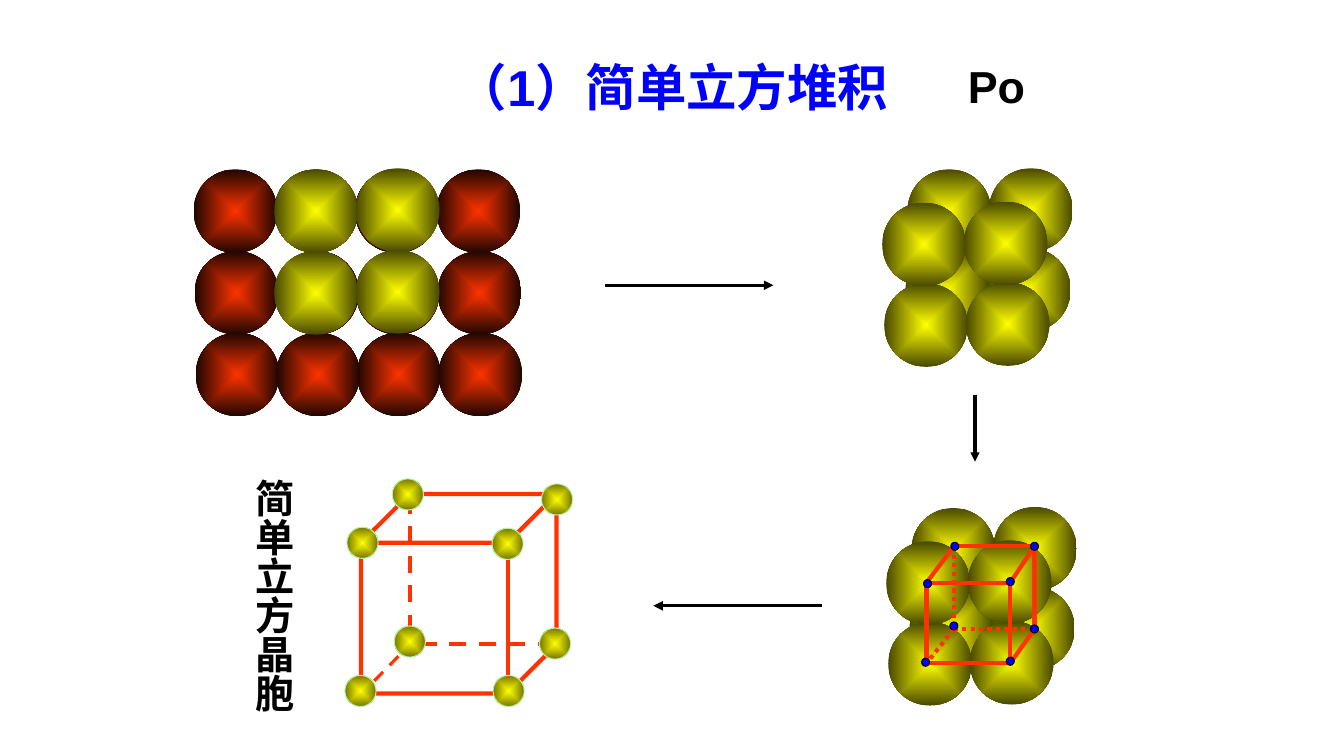
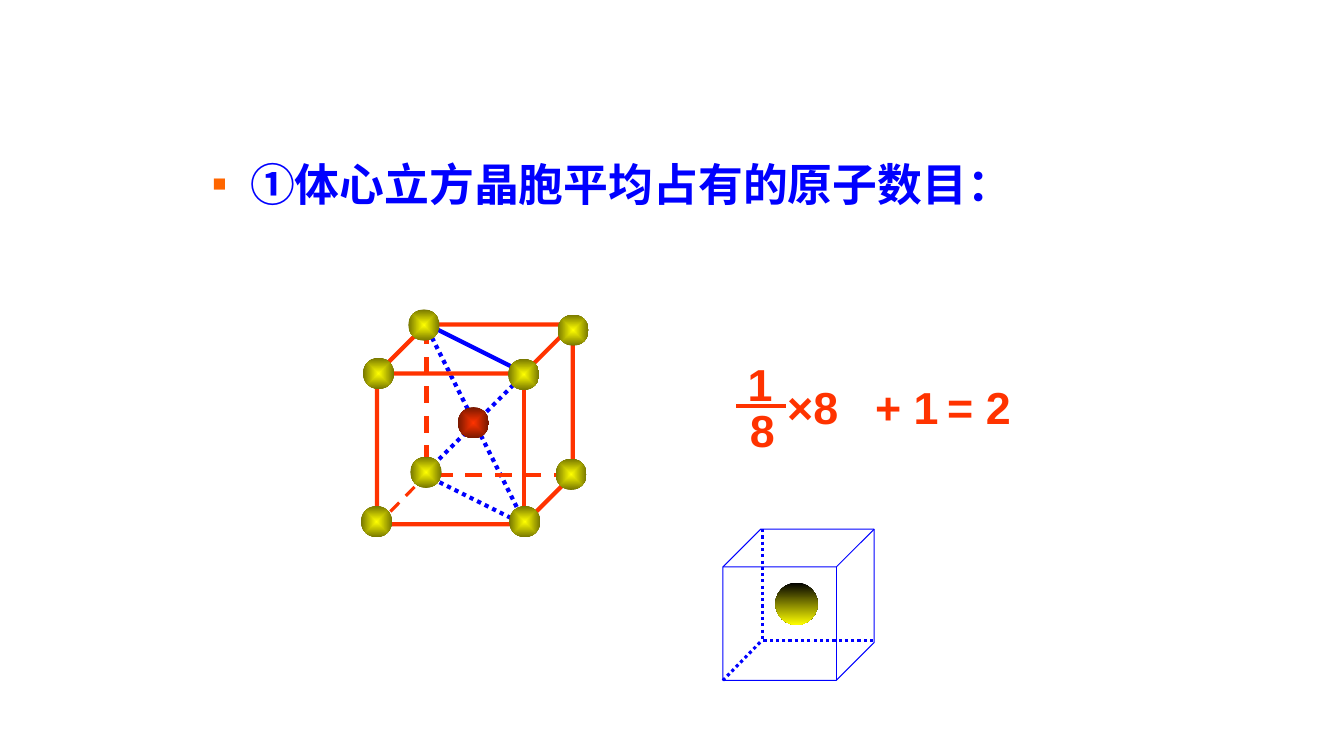
from itertools import product
from lxml import etree
from pptx import Presentation
from pptx.dml.color import RGBColor
from pptx.enum import dml, shapes, text
from pptx.oxml import ns
from pptx.util import Inches, Pt

# Shared look
RED, BLUE, BLACK, GOLD = "FF3300", "0000FF", "000000", "FFFF00"
ORANGE, MINT = "FF6600", "B4F5A9"
DARK_RED, DARK_GOLD = ("FF3300", "200600"), ("FFFF00", "494900")
CORE, ATOM = ("FF3300", "761800"), ("FFFF00", "767600")
DASH, DOT = dml.MSO_LINE.DASH, dml.MSO_LINE.ROUND_DOT
LEFT, MID = text.PP_ALIGN.LEFT, text.PP_ALIGN.CENTER
BALL, SMALL, STEP = 0.83, 0.31, 0.81

# Slide 1
TITLE = "（1）简单立方堆积"
LABEL = "简单立方晶胞"
ARROWS = [(6, 2.83, 7.67, 2.83), (9.67, 3.92, 9.67, 4.58),
          (8.15, 6.01, 6.48, 6.01)]
STACKS = [(8.75, 1.67), (8.79, 5.03)]
PAIRS = [(0.23, 0.8), (0.02, 1.14), (0.25, 0.01), (0, 0.34)]
# Left, top, right and bottom of the two faces of the inner cell
FRONT, BACK = (9.19, 5.78, 10.02, 6.58), (9.46, 5.42, 10.26, 6.24)
NODES = [(9.47, 5.42), (10.26, 5.42), (10.02, 5.77), (9.2, 5.79),
         (9.46, 6.21), (10.26, 6.24), (10.02, 6.56), (9.18, 6.57)]

# Slide 2
POINT = "①体心立方晶胞平均占有的原子数目："
SUM = [("8", 7.27, 3.95, 0.58, MID), ("1", 7.25, 3.49, 0.58, MID),
       ("×8", 7.71, 3.72, 1, LEFT), ("= 2", 9.25, 3.72, 0.92, MID),
       ("+ 1", 8.58, 3.72, 0.95, LEFT)]
DIAGS = [(4.21, 4.71, 5.21, 5.21, DOT), (4.22, 3.21, 5.22, 3.71, None),
         (4.21, 3.2, 5.21, 5.2, DOT), (5.21, 3.7, 4.21, 4.7, DOT)]

# Corner atoms, measured from the corner of the cell
ATOMS = [(0.31, -0.15), (1.3, 0.34), (-0.16, 1.8), (1.77, 1.33),
         (0.33, 1.31), (1.31, 1.8), (1.79, -0.1), (-0.14, 0.33)]


def rgb(code):
    return RGBColor.from_string(code)


def add(parent, tag, **attrs):
    return etree.SubElement(parent, ns.qn(tag), attrs)


def box(*lengths):
    return [Inches(n) for n in lengths]


def line(slide, x1, y1, x2, y2, hue, width, dash=None, arrow=False):
    link = slide.shapes.add_connector(
        shapes.MSO_CONNECTOR.STRAIGHT, *box(x1, y1, x2, y2))
    link.line.color.rgb = rgb(hue)
    link.line.width = Pt(width)
    if dash:
        link.line.dash_style = dash
    if arrow:
        add(link.line._get_or_add_ln(), "a:tailEnd", type="triangle")
    add(link._element.spPr, "a:effectLst")


def shape(slide, kind, x, y, w, h, hue=None, width=0.75):
    item = slide.shapes.add_shape(kind, *box(x, y, w, h))
    item.shadow.inherit = False
    item.fill.background()
    if hue:
        item.line.color.rgb = rgb(hue)
        item.line.width = Pt(width)
    else:
        item.line.fill.background()
    return item


def ball(slide, x, y, size, hues, edge=None, radial=True):
    item = shape(slide, shapes.MSO_SHAPE.OVAL, x, y, size, size, edge)
    item.fill.gradient()
    for stop, hue in zip(item.fill.gradient_stops, hues):
        stop.color.rgb = rgb(hue)
    item.fill.gradient_angle = 270
    if radial:
        grad = item._element.spPr.find(ns.qn("a:gradFill"))
        grad.remove(grad.find(ns.qn("a:lin")))
        way = add(grad, "a:path", path="shape")
        add(way, "a:fillToRect", **dict.fromkeys("ltrb", "50000"))


def write(frame, words, size, hue, font="Arial", align=LEFT):
    frame.word_wrap = True
    frame.auto_size = text.MSO_AUTO_SIZE.NONE
    para = frame.paragraphs[0]
    para.alignment = align
    para.space_before = Pt(0)
    run = para.add_run()
    run.text = words
    run.font.name, run.font.size, run.font.bold = font, Pt(size), True
    run.font.color.rgb = rgb(hue)
    return para


def label(slide, words, x, y, w, h, size, hue, align=LEFT):
    frame = slide.shapes.add_textbox(*box(x, y, w, h)).text_frame
    write(frame, words, size, hue, align=align)
    return frame


def place(holder, *lengths):
    holder.left, holder.top, holder.width, holder.height = box(*lengths)
    return holder.text_frame


def cube(slide, x, y, w, h, hue, width, hidden, dash, thin):
    """Open cube; hidden holds the inner corner and the far line ends."""
    shape(slide, shapes.MSO_SHAPE.CUBE, x, y, w, h, hue, width)
    cx, cy, top, right, left, low = hidden
    for ex, ey, wide in [(cx, top, thin[0]), (right, cy, thin[0]),
                         (left, low, thin[1])]:
        line(slide, x + ex, y + ey, x + cx, y + cy, hue, wide, dash)


def cell(slide, x, y, edge=None):
    cube(slide, x, y, 1.94, 1.98, RED, 3,
         (0.49, 1.49, 0.03, 1.92, -0.02, 2.01), DASH, (3, 2.25))
    for dx, dy in ATOMS:
        ball(slide, x + dx, y + dy, SMALL, ATOM, edge)


def inner(slide):
    """Cell joining the ball centres; edges at the back left are dotted."""
    for face, dash in [(BACK, DOT), (FRONT, None)]:
        x1, y1, x2, y2 = face
        for ends, style in [((x1, y1, x2, y1), None), ((x2, y1, x2, y2), None),
                            ((x1, y1, x1, y2), dash), ((x1, y2, x2, y2), dash)]:
            line(slide, *ends, RED, 3, style)
    for i, j in product((0, 2), (1, 3)):
        line(slide, BACK[i], BACK[j], FRONT[i], FRONT[j], RED, 3,
             DOT if (i, j) == (0, 3) else None)
    for x, y in NODES:
        node = shape(slide, shapes.MSO_SHAPE.OVAL, x - 0.04, y - 0.04,
                     0.08, 0.08, BLACK)
        node.fill.solid()
        node.fill.fore_color.rgb = rgb(BLUE)


def packing(deck):
    slide = deck.slides.add_slide(deck.slide_layouts[5])
    frame = place(slide.shapes.title, 2, 0.42, 9.34, 0.87)
    frame.vertical_anchor = text.MSO_ANCHOR.MIDDLE
    write(frame, TITLE, 36, BLUE, align=MID)
    label(slide, "Po", 9.5, 0.53, 0.92, 0.64, 32, BLACK)
    side = label(slide, LABEL, 2.33, 4.65, 0.67, 2.67, 28, BLACK, MID)
    side._txBody.bodyPr.set("vert", "eaVert")
    for ends in ARROWS:
        line(slide, *ends, BLACK, 2.25, arrow=True)
    # Layer of balls, with one square picked out
    for row, col in product(range(3), (0, 3, 2, 1)):
        ball(slide, 1.92 + 0.8 * col + 0.01 * (row + (col == 3)),
             1.68 + STEP * row, BALL, DARK_RED)
    for row, col in product(range(2), range(2)):
        ball(slide, 2.72 + STEP * col, 1.68 + STEP * row - 0.01 * col,
             BALL, DARK_GOLD)
    # Two stacks of eight
    for (x, y), (dx, dy), col in product(STACKS, PAIRS, range(2)):
        ball(slide, x + dx + STEP * col, y + dy - 0.01 * col, BALL, DARK_GOLD)
    inner(slide)
    cell(slide, 3.58, 4.9, MINT)


def count(deck):
    slide = deck.slides.add_slide(deck.slide_layouts[1])
    title = slide.shapes.title._element
    title.getparent().remove(title)
    frame = place(slide.placeholders[1], 2, 1.5, 9.34, 0.86)
    props = frame.paragraphs[0]._p.get_or_add_pPr()
    props.set("marL", str(Inches(0.38)))
    props.set("indent", str(-Inches(0.38)))
    add(add(props, "a:buClr"), "a:srgbClr", val=ORANGE)
    add(props, "a:buChar", char="▪")
    write(frame, POINT, 32, BLUE, "Calibri")
    # Body-centred cell
    for *ends, dash in DIAGS:
        line(slide, *ends, BLUE, 3, dash)
    cell(slide, 3.74, 3.22)
    ball(slide, 4.54, 4.04, SMALL, CORE)
    # Sum
    line(slide, 7.3, 4.03, 7.8, 4.03, RED, 3)
    for words, x, y, w, align in SUM:
        label(slide, words, x, y, w, 0.64, 32, RED, align)
    # One whole atom in a cube
    cube(slide, 7.17, 5.25, 1.5, 1.5, BLUE, 0.75,
         (0.39, 1.1, 0, 1.49, 0, 1.5), DOT, (2.25, 2.25))
    ball(slide, 7.69, 5.78, 0.42, (BLACK, GOLD), radial=False)


def main():
    deck = Presentation()
    deck.slide_width, deck.slide_height = box(13.33, 7.5)
    packing(deck)
    count(deck)
    deck.save("out.pptx")


if __name__ == "__main__":
    main()
